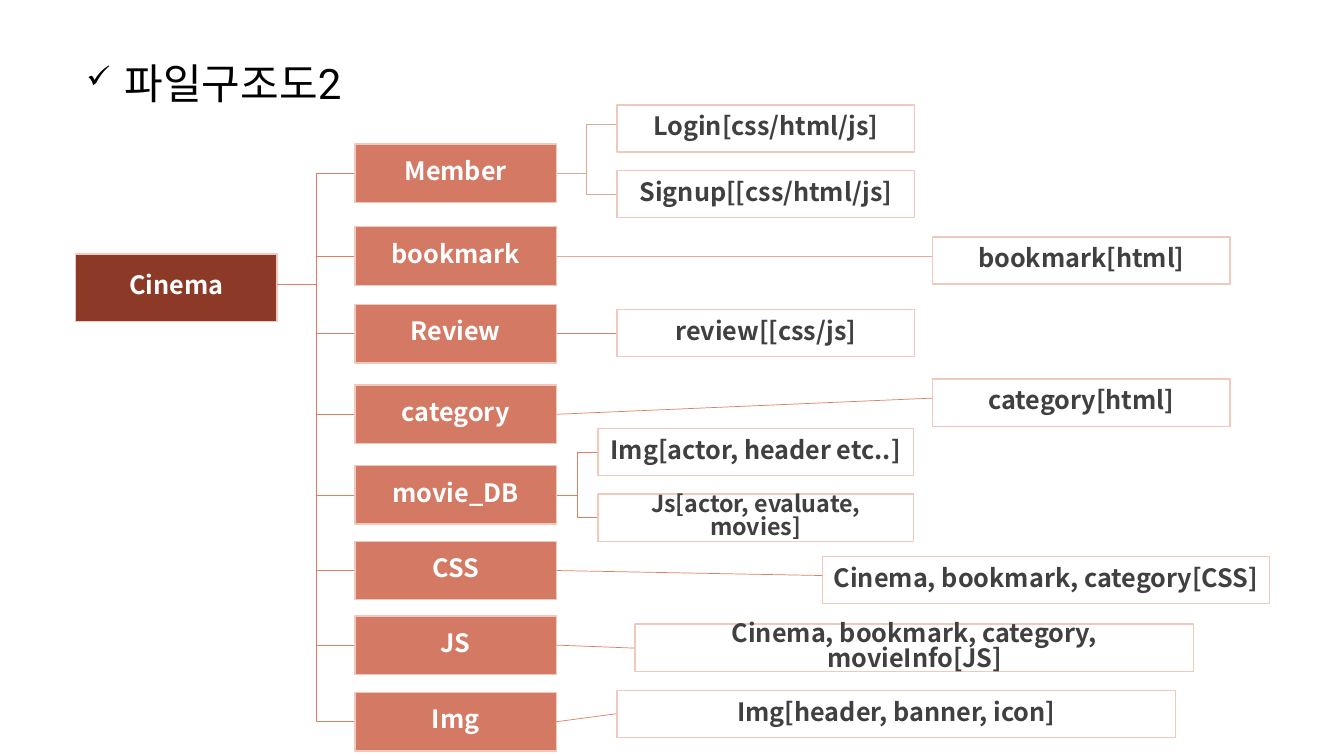
from lxml.etree import SubElement as Sub
from pptx import Presentation
from pptx.dml.color import RGBColor as RGB
from pptx.enum.shapes import MSO_CONNECTOR as LINK, MSO_SHAPE as SHAPE
from pptx.enum.text import MSO_ANCHOR as ANCHOR, PP_ALIGN as ALIGN
from pptx.oxml.ns import qn
from pptx.util import Inches, Pt

HUES = {
    "root": "8C3A27", "branch": "D47964", "edge": "F0C8BC", "link": "DC8065",
    "soft": "E2A697", "pale": "E8AB99", "white": "FFFFFF", "dark": "404040",
    "black": "000000",
}
SANS = "Noto Sans CJK KR"
WIDE, HIGH = 2, 0.58
LEAF = 0.47

TREE = [
    ("Member", 1.43, "soft", [
        ("Login[css/html/js]", 6.12, 1.04, 2.95, 0.19, 18),
        ("Signup[[css/html/js]", 6.12, 1.69, 2.95, 0.24, 18)]),
    ("bookmark", 2.25, "pale", [("bookmark[html]", 9.25, 2.35, 2.95, 0.19, 18)]),
    ("Review", 3.02, "link", [("review[[css/js]", 6.12, 3.07, 2.95, 0.24, 18)]),
    ("category", 3.82, "link", [("category[html]", 9.25, 3.76, 2.95, 0.19, 18)]),
    ("movie_DB", 4.62, "link", [
        ("Img[actor, header etc..]", 5.93, 4.25, 3.13, 0.24, 18),
        ("Js[actor, evaluate, movies]", 5.93, 4.9, 3.13, 0.23, 16.6)]),
    ("CSS", 5.37, "link", [
        ("Cinema, bookmark, category[CSS]", 8.16, 5.52, 4.43, 0.19, 18)]),
    ("JS", 6.11, "link", [
        ("Cinema, bookmark, category, movieInfo[JS]", 6.3, 6.19, 5.54, 0.24, 18)]),
    ("Img", 6.87, "link", [("Img[header, banner, icon]", 6.12, 6.85, 5.54, 0.23, 18)]),
]


def hue(name):
    """Return the named colour."""
    return RGB.from_string(HUES[name])


def write(para, text, size=18, color="dark", bold=False, font=SANS):
    """Add a formatted run to a paragraph."""
    run = para.add_run()
    run.text = text
    run.font.size = Pt(size)
    run.font.bold = bold
    run.font.name = font
    run.font.color.rgb = hue(color)
    Sub(run.font._element, qn("a:ea")).set("typeface", SANS)


def card(slide, text, left, top, wide, high, fill=None, color="dark", size=18):
    """Draw an edged box with centred bold text."""
    box = slide.shapes.add_shape(
        SHAPE.RECTANGLE, Inches(left), Inches(top), Inches(wide), Inches(high))
    box.shadow.inherit = False
    if fill:
        box.fill.solid()
        box.fill.fore_color.rgb = hue(fill)
    else:
        box.fill.background()
    box.line.color.rgb = hue("edge")
    box.line.width = Pt(1)
    frame = box.text_frame
    frame.word_wrap = True
    frame.vertical_anchor = ANCHOR.MIDDLE
    frame.margin_top, frame.margin_bottom = Inches(0.04), Inches(0.05)
    para = frame.paragraphs[0]
    para.alignment = ALIGN.CENTER
    para.line_spacing = 0.83
    write(para, text, size=size, color=color, bold=True)


def link(slide, start, end, color="link", kind=LINK.ELBOW):
    """Draw a thin connector between two points."""
    line = slide.shapes.add_connector(kind, *map(Inches, start + end))
    line.line.color.rgb = hue(color)
    line.line.width = Pt(0.5)
    Sub(line._element.spPr, qn("a:effectLst"))


def title(slide, left, top, wide, high):
    """Write the heading with its check mark."""
    box = slide.shapes.add_textbox(*map(Inches, (left, top, wide, high)))
    box.text_frame.word_wrap = True
    para = box.text_frame.paragraphs[0]
    props = para._p.get_or_add_pPr()
    props.set("marL", str(Inches(0.31)))
    props.set("indent", str(-Inches(0.31)))
    Sub(props, qn("a:buChar")).set("char", "✓")
    write(para, " ", size=22, color="black", font="Roboto")
    write(para, "파일구조도2", size=30, color="black", font="Roboto")


def leaves(slide, start, items, color):
    """Place the file boxes of one branch and link them to it."""
    kind = LINK.ELBOW if len(items) > 1 else LINK.STRAIGHT
    for text, left, top, wide, drop, size in items:
        link(slide, start, (left, top + drop), color, kind)
        card(slide, text, left, top, wide, LEAF, size=size)


def tree(slide, left, top, gap):
    """Place the root, its branches and their leaves."""
    card(slide, "Cinema", left, top, WIDE, 0.67, "root", "white")
    stem = (left + WIDE, top + 0.3)
    side = left + WIDE + gap
    for name, y, color, items in TREE:
        mid = y + HIGH / 2
        link(slide, stem, (side, mid))
        card(slide, name, side, y, WIDE, HIGH, "branch", "white")
        leaves(slide, (side + WIDE, mid), items, color)


def main():
    """Build and save the slide."""
    deck = Presentation()
    deck.slide_width, deck.slide_height = Inches(13.33), Inches(7.5)
    slide = deck.slides.add_slide(deck.slide_layouts[6])
    tree(slide, 0.75, 2.52, 0.77)
    title(slide, 0.76, 0.52, 6.66, 0.61)
    deck.save("out.pptx")


if __name__ == "__main__":
    main()
